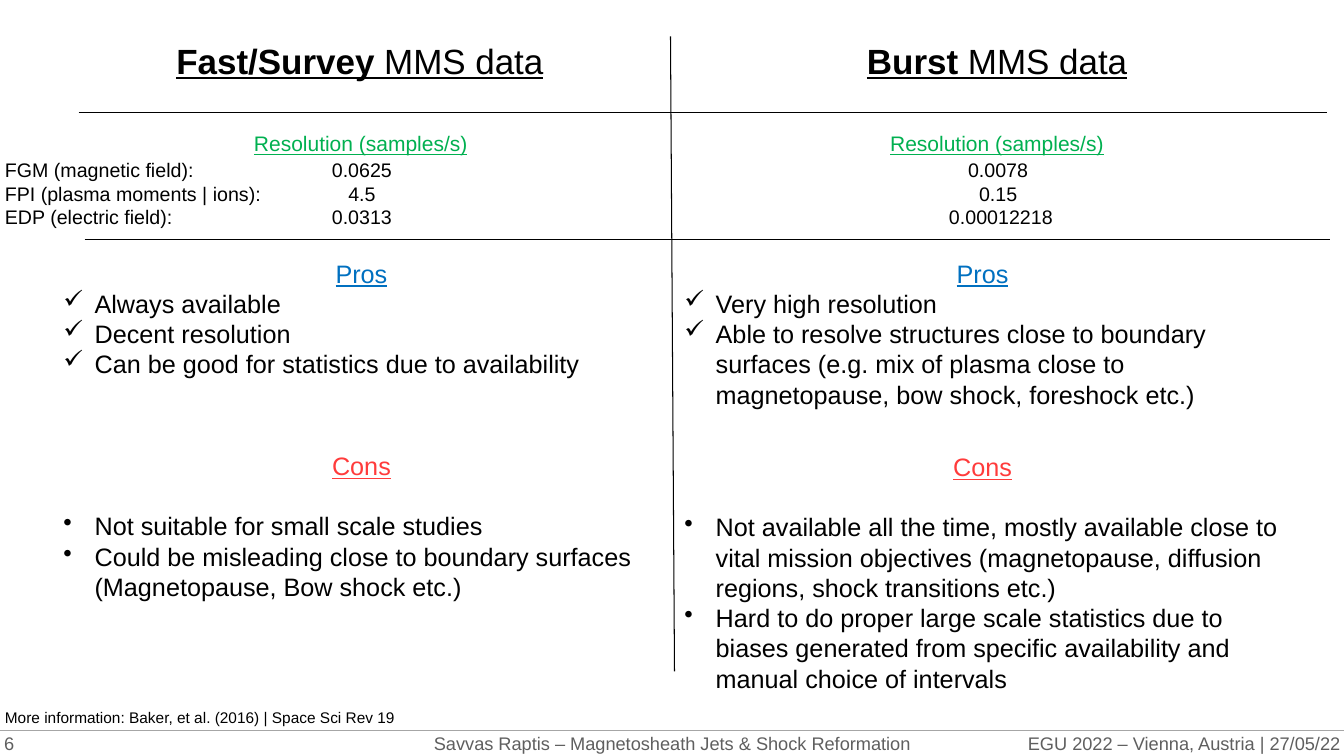
from dataclasses import dataclass

from lxml import etree
from pptx import Presentation
from pptx.dml.color import RGBColor
from pptx.enum.shapes import MSO_CONNECTOR
from pptx.enum.text import MSO_ANCHOR, PP_ALIGN
from pptx.oxml.ns import qn
from pptx.util import Inches, Pt


@dataclass(frozen=True)
class Theme:
    font: str = "Arial"
    ink: str = "000000"
    footer: str = "5F5F5F"
    footer_rule: str = "A6A6A6"
    resolution: str = "00B050"
    pros: str = "0070C0"
    cons: str = "FF3B3B"
    title_size: float = 25
    body_size: float = 18
    label_size: float = 15
    value_size: float = 14
    footer_size: float = 13
    note_size: float = 11
    line_width: float = 0.75
    bullet_indent: float = 0.31
    list_gap: float = 21.5


class SlideBuilder:
    def __init__(self, slide, theme):
        self.slide = slide
        self.theme = theme

    def line(self, start, end, color):
        points = [Inches(value) for value in (*start, *end)]
        connector = self.slide.shapes.add_connector(MSO_CONNECTOR.STRAIGHT, *points)
        connector.line.color.rgb = RGBColor.from_string(color)
        connector.line.width = Pt(self.theme.line_width)
        etree.SubElement(connector._element.spPr, qn("a:effectLst"))

    def frame(self, box, wrap=True, **formats):
        shape = self.slide.shapes.add_textbox(*(Inches(value) for value in box))
        text_frame = shape.text_frame
        for name, value in {"word_wrap": wrap, **formats}.items():
            setattr(text_frame, name, value)
        return text_frame

    def run(self, paragraph, text, size, color, **formats):
        run = paragraph.add_run()
        run.text = text
        values = {"name": self.theme.font, "size": Pt(size), **formats}
        for name, value in values.items():
            setattr(run.font, name, value)
        run.font.color.rgb = RGBColor.from_string(color)

    def text(self, box, lines, size, color, align=PP_ALIGN.LEFT, underline=False, **frame_formats):
        text_frame = self.frame(box, **frame_formats)
        for index, line in enumerate(lines):
            paragraph = text_frame.add_paragraph() if index else text_frame.paragraphs[0]
            paragraph.alignment = align
            self.run(paragraph, line, size, color, underline=underline)

    def title(self, box, bold_part, plain_part):
        paragraph = self.frame(box, wrap=False).paragraphs[0]
        for text, bold in ((bold_part, True), (plain_part, False)):
            self.run(paragraph, text, self.theme.title_size, self.theme.ink,
                     bold=bold, underline=True)

    def footer(self, box, text, align):
        margins = {f"margin_{side}": 0 for side in ("left", "top", "right", "bottom")}
        self.text(box, [text], self.theme.footer_size, self.theme.footer, align,
                  vertical_anchor=MSO_ANCHOR.MIDDLE, **margins)

    def bullet_list(self, box, heading, color, bullet, items, gap=0):
        theme = self.theme
        text_frame = self.frame(box)
        paragraph = text_frame.paragraphs[0]
        paragraph.alignment = PP_ALIGN.CENTER
        self.run(paragraph, heading, theme.body_size, color, underline=True)
        for index, item in enumerate(items):
            paragraph = text_frame.add_paragraph()
            properties = paragraph._p.get_or_add_pPr()
            indent = Inches(theme.bullet_indent)
            properties.set("marL", str(indent))
            properties.set("indent", str(-indent))
            etree.SubElement(properties, qn("a:buChar"), char=bullet)
            if gap and index == 0:
                paragraph.space_before = Pt(gap)
            self.run(paragraph, item, theme.body_size, theme.ink)


COLUMNS = [
    {
        "title": ((1.65, 0.34, 3.89, 0.52), "Fast/Survey"),
        "values_left": 2.45,
        "values": ["0.0625", "4.5", "0.0313"],
        "list_left": 0.53,
        "pros": ["Always available", "Decent resolution",
                 "Can be good for statistics due to availability"],
        "cons_top": 4.42,
        "cons": ["Not suitable for small scale studies",
                 "Could be misleading close to boundary surfaces (Magnetopause, Bow shock etc.)"],
    },
    {
        "title": ((8.5, 0.34, 2.81, 0.52), "Burst"),
        "values_left": 8.76,
        "values": ["0.0078", "0.15", " 0.00012218"],
        "list_left": 6.69,
        "pros": ["Very high resolution",
                 "Able to resolve structures close to boundary surfaces (e.g. mix of plasma "
                 "close to magnetopause, bow shock, foreshock etc.)"],
        "cons_top": 4.43,
        "cons": ["Not available all the time, mostly available close to vital mission objectives "
                 "(magnetopause, diffusion regions, shock transitions etc.)",
                 "Hard to do proper large scale statistics due to biases generated from specific "
                 "availability and manual choice of intervals"],
    },
]


def main():
    theme = Theme()
    presentation = Presentation()
    presentation.slide_width = Inches(13.33)
    presentation.slide_height = Inches(7.5)
    slide = presentation.slides.add_slide(presentation.slide_layouts[6])
    builder = SlideBuilder(slide, theme)

    # Footer
    builder.footer((0, 7.25, 13.33, 0.25),
                   "Savvas Raptis – Magnetosheath Jets & Shock Reformation", PP_ALIGN.CENTER)
    builder.footer((9.09, 7.25, 4.2, 0.25),
                   "EGU 2022 – Vienna, Austria | 27/05/22", PP_ALIGN.RIGHT)
    builder.footer((0.04, 7.25, 4.2, 0.25), "6", PP_ALIGN.LEFT)
    builder.line((0, 7.25), (13.33, 7.25), theme.footer_rule)

    # Dividers
    for start, end in (((6.65, 0.36), (6.69, 6.66)),
                       ((0.78, 1.12), (13.16, 1.12)),
                       ((0.84, 2.38), (13.19, 2.38))):
        builder.line(start, end, theme.ink)

    # Instrument names and reference
    builder.text((-0.05, 1.52, 2.8, 0.81),
                 ["FGM (magnetic field):", "FPI (plasma moments | ions):", "EDP (electric field):"],
                 theme.value_size, theme.ink)
    builder.text((-0.05, 6.98, 4.54, 0.29),
                 ["More information: Baker, et al. (2016) | Space Sci Rev 19"],
                 theme.note_size, theme.ink)

    # Data mode columns
    for column in COLUMNS:
        box, mode = column["title"]
        builder.title(box, mode, " MMS data")
        left = column["values_left"]
        builder.text((left - 0.03, 1.25, 2.35, 0.35), ["Resolution (samples/s)"],
                     theme.label_size, theme.resolution, underline=True, wrap=False)
        builder.text((left, 1.52, 2.28, 0.81), column["values"],
                     theme.value_size, theme.ink, PP_ALIGN.CENTER)
        left = column["list_left"]
        builder.bullet_list((left, 2.51, 6.11, 1.92), "Pros", theme.pros, "✓", column["pros"])
        builder.bullet_list((left, column["cons_top"], 6.11, 2.53), "Cons", theme.cons, "•",
                            column["cons"], theme.list_gap)

    presentation.save("out.pptx")


if __name__ == "__main__":
    main()
